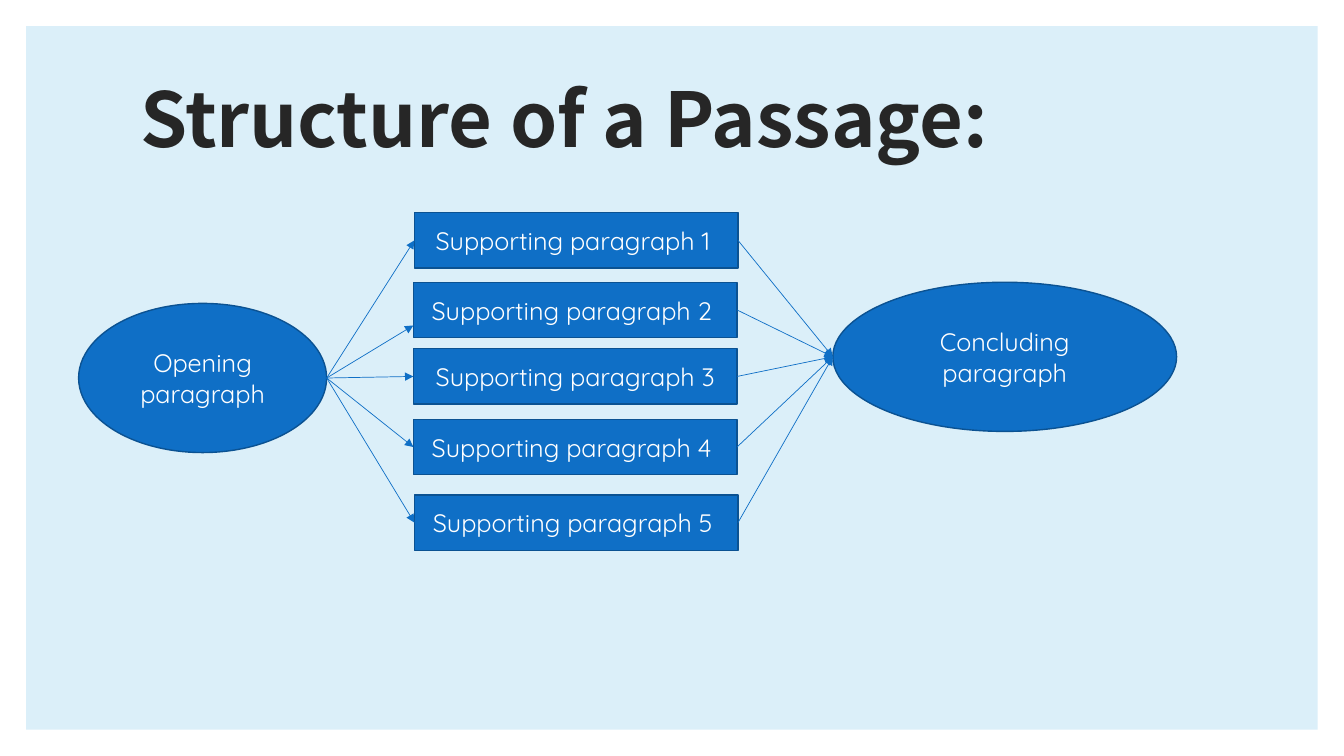
from lxml import etree
from pptx import Presentation, util as u
from pptx.dml.color import RGBColor
from pptx.enum import shapes, text
from pptx.oxml.ns import qn

TITLE = "Structure of a Passage:"
OPENING = ("Opening\nparagraph", (0.78, 3.01, 2.46, 1.48))
CONCLUDING = ("Concluding paragraph", (8.26, 2.8, 3.41, 1.48))
SUPPORTING = [
    ("Supporting paragraph 1 ", 4.11, 2.11, 0.5),
    ("Supporting paragraph 2 ", 4.1, 2.8, 0.78),
    ("Supporting paragraph 3", 4.1, 3.46, 0.5),
    ("Supporting paragraph 4 ", 4.1, 4.16, 0.5),
    ("Supporting paragraph 5 ", 4.11, 4.91, 0.5),
]
BOX_W, BOX_H = 3.21, 0.55
SLIDE_W, SLIDE_H, MARGIN = 13.33, 7.5, 0.26
COLORS = {"panel": "DBEFF9", "blue": "0F6FC6", "edge": "0B5292",
          "title": "262626", "white": "FFFFFF"}
TITLE_FONT, BODY_FONT = "Noto Sans CJK SC", "Quicksand"


def rgb(name):
    return RGBColor.from_string(COLORS[name])


def add_block(s, kind, at, fill):
    sp = s.shapes.add_shape(kind, *map(u.Inches, at))
    sp.shadow.inherit = False
    sp.fill.solid()
    sp.fill.fore_color.rgb = rgb(fill)
    return sp


def add_node(s, kind, label, at):
    sp = add_block(s, kind, at, "blue")
    sp.line.color.rgb = rgb("edge")
    sp.line.width = u.Pt(1)
    tf = sp.text_frame
    tf.text = label
    tf.word_wrap = True
    tf.vertical_anchor = text.MSO_ANCHOR.MIDDLE
    for p in tf.paragraphs:
        p.alignment = text.PP_ALIGN.CENTER
        style(p.runs[0], BODY_FONT, 18, "white")


def style(r, font, size, color):
    r.font.name = font
    r.font.size = u.Pt(size)
    r.font.color.rgb = rgb(color)


def add_arrow(s, start, end):
    c = s.shapes.add_connector(shapes.MSO_CONNECTOR.STRAIGHT,
                               *map(u.Inches, start + end))
    c.line.color.rgb = rgb("blue")
    c.line.width = u.Pt(0.5)
    etree.SubElement(c.line._get_or_add_ln(), qn("a:tailEnd"), type="triangle")
    etree.SubElement(c._element.spPr, qn("a:effectLst"))


def add_title(s):
    sp = s.shapes.title
    sp.left, sp.top, sp.width, sp.height = map(u.Inches, (1.17, 0.7, 10.33, 1.04))
    tf = sp.text_frame
    tf.text = TITLE
    tf.word_wrap = True
    tf.auto_size = text.MSO_AUTO_SIZE.NONE
    tf.vertical_anchor = text.MSO_ANCHOR.MIDDLE
    tf.margin_left = u.Inches(0.22)
    p = tf.paragraphs[0]
    p.alignment = text.PP_ALIGN.LEFT
    p.line_spacing = 0.9
    style(p.runs[0], TITLE_FONT, 54, "title")
    p.runs[0].font.bold = True


def main():
    prs = Presentation()
    prs.slide_width, prs.slide_height = u.Inches(SLIDE_W), u.Inches(SLIDE_H)
    s = prs.slides.add_slide(prs.slide_layouts[5])
    add_title(s)
    panel = add_block(s, shapes.MSO_SHAPE.RECTANGLE,
                      (MARGIN, MARGIN, SLIDE_W - 2 * MARGIN, SLIDE_H - 2 * MARGIN),
                      "panel")
    panel.line.fill.background()
    s.shapes.title._element.addprevious(panel._element)

    for label, at in (OPENING, CONCLUDING):
        add_node(s, shapes.MSO_SHAPE.OVAL, label, at)
    for label, x, y, _ in SUPPORTING:
        add_node(s, shapes.MSO_SHAPE.RECTANGLE, label, (x, y, BOX_W, BOX_H))

    x, y, w, h = OPENING[1]
    source = (x + w, y + h / 2)
    x, y, w, h = CONCLUDING[1]
    target = (x, y + h / 2)
    for _, x, y, entry in SUPPORTING:
        add_arrow(s, source, (x, y + BOX_H * entry))
        add_arrow(s, (x + BOX_W, y + BOX_H / 2), target)
    prs.save("out.pptx")


if __name__ == "__main__":
    main()
